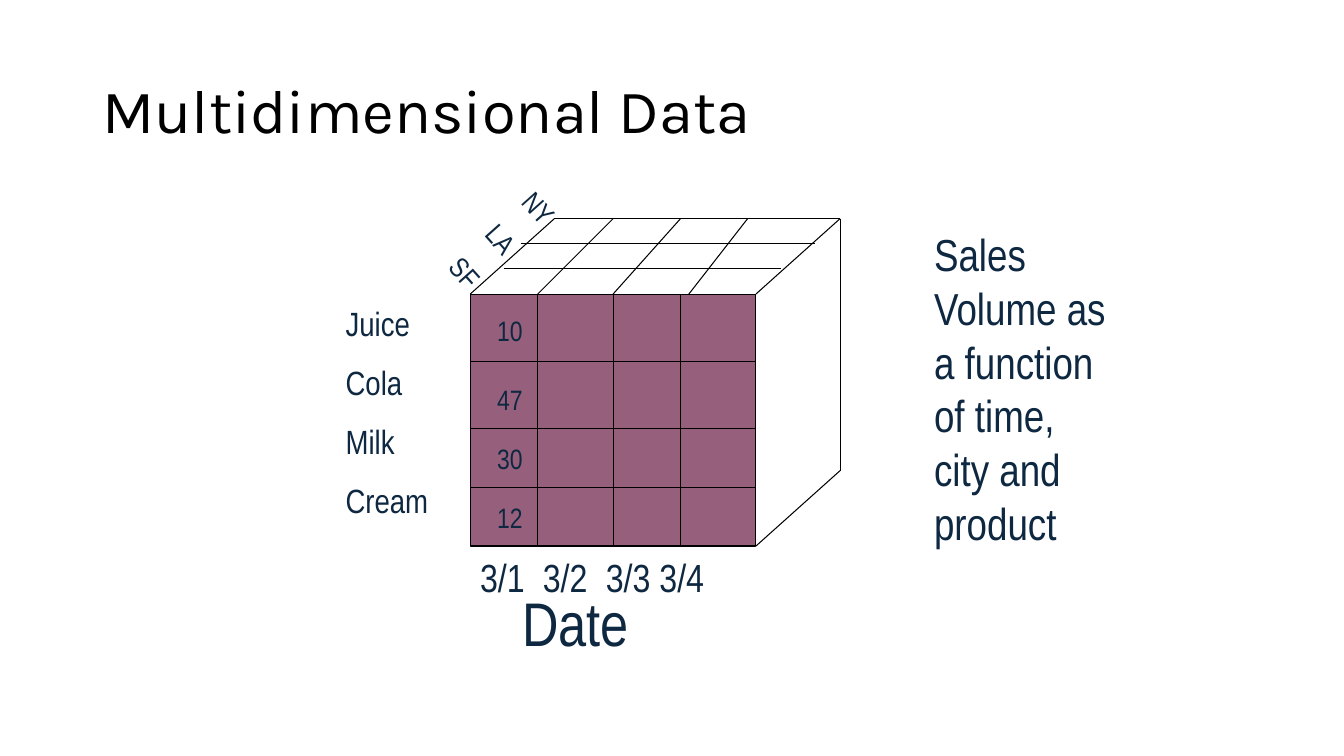
from dataclasses import dataclass

from pptx import Presentation
from pptx.dml.color import RGBColor
from pptx.enum.shapes import MSO_CONNECTOR as CONN, MSO_SHAPE as SHAPE
from pptx.enum.text import MSO_ANCHOR as ANCHOR, MSO_AUTO_SIZE as AUTO
from pptx.oxml.ns import qn
from pptx.slide import Slide
from pptx.util import Cm, Pt
from lxml.etree import SubElement

COLORS = {"black": "000000", "navy": "0E2841", "plum": "96607D"}
LINE_WIDTH = Pt(0.75)


@dataclass
class Label:
    lines: list[str]
    x: float
    y: float
    w: float
    h: float
    size: float
    rotation: float = 0
    font: str = "Arial Narrow"
    color: str = "navy"


@dataclass
class Edge:
    x1: float
    y1: float
    x2: float
    y2: float


def rgb(name: str) -> RGBColor:
    return RGBColor.from_string(COLORS[name])


def add_label(s: Slide, label: Label, is_title: bool = False) -> None:
    sp = s.shapes.add_textbox(Cm(label.x), Cm(label.y), Cm(label.w), Cm(label.h))
    sp.rotation = label.rotation
    tf = sp.text_frame
    tf.word_wrap = True
    tf.vertical_anchor = ANCHOR.MIDDLE if is_title else ANCHOR.BOTTOM
    tf.auto_size = AUTO.NONE if is_title else AUTO.SHAPE_TO_FIT_TEXT
    for i, line in enumerate(label.lines):
        p = tf.add_paragraph() if i else tf.paragraphs[0]
        if is_title:
            p.line_spacing = 0.9
        else:
            p.space_before = Pt(label.size * 0.55)
        r = p.add_run()
        r.text = line
        r.font.name = label.font
        r.font.size = Pt(label.size)
        r.font.color.rgb = rgb(label.color)


def add_edge(s: Slide, edge: Edge) -> None:
    sp = s.shapes.add_connector(
        CONN.STRAIGHT, Cm(edge.x1), Cm(edge.y1), Cm(edge.x2), Cm(edge.y2))
    sp.line.color.rgb = rgb("black")
    sp.line.width = LINE_WIDTH
    SubElement(sp._element.spPr, qn("a:effectLst"))


# Cube geometry in centimetres
LEFT, RIGHT, TOP, BOTTOM = 11.85, 19.05, 7.41, 13.76
DX, DY = 2.12, 1.9
BACK_RIGHT, BACK_TOP = RIGHT + DX, TOP - DY
COLUMNS = [13.55, 15.45, 17.15]
ROWS = [9.1, 10.8, 12.28]

front_grid = [Edge(x, TOP, x, BOTTOM) for x in COLUMNS]
front_grid += [Edge(LEFT, y, RIGHT, y) for y in ROWS]
depth_edges = [Edge(x, y, x + DX, y - DY)
               for x, y in [(LEFT, TOP), (RIGHT, TOP), (RIGHT, BOTTOM)]]
back_edges = [
    Edge(LEFT + DX, BACK_TOP, BACK_RIGHT, BACK_TOP),
    Edge(BACK_RIGHT, BACK_TOP, BACK_RIGHT, BOTTOM - DY),
]
top_grid = [Edge(x1, TOP, x2, BACK_TOP)
            for x1, x2 in [(13.55, 15.45), (15.45, 17.15), (17.36, 18.84)]]
top_grid += [Edge(12.7, 6.77, 19.69, 6.77), Edge(13.12, 6.14, 20.53, 6.14)]

# Labels
title = Label(["Multidimensional Data"], 2.33, 1.01, 29.21, 3.68, 44,
              font="Karla", color="black")
values = [Label([value], 12.28, y, 1.7, 1.09, 20)
          for value, y in [("10", 7.79), ("47", 9.53), ("30", 11.01), ("12", 12.49)]]
dates = [Label([date], x, 13.8, 1.9, 1.46, 28)
         for date, x in [("3/1", 11.85), ("3/2", 13.43), ("3/3", 15.02), ("3/4", 16.37)]]
axes = [
    Label(["Juice", "Cola", "Milk", "Cream"], 8.46, 7.34, 2.97, 5.89, 24),
    Label(["NY", "LA", "SF"], 11.6, 5.2, 3.95, 3.64, 20, rotation=48.2),
    Label(["Date"], 12.91, 14.6, 4.87, 2.12, 44),
]
description = Label(["Sales Volume as a function of time, city and product"],
                    23.29, 4.13, 4.87, 9.84, 32)


def main() -> None:
    prs = Presentation()
    prs.slide_width, prs.slide_height = Cm(33.87), Cm(19.05)
    s = prs.slides.add_slide(prs.slide_layouts[6])

    add_label(s, title, is_title=True)

    # Front face
    sp = s.shapes.add_shape(
        SHAPE.RECTANGLE, Cm(LEFT), Cm(TOP), Cm(RIGHT - LEFT), Cm(BOTTOM - TOP))
    sp.shadow.inherit = False
    sp.fill.solid()
    sp.fill.fore_color.rgb = rgb("plum")
    sp.line.color.rgb = rgb("black")
    sp.line.width = LINE_WIDTH

    # Grid lines and outer edges
    for edge in front_grid + depth_edges + back_edges + top_grid:
        add_edge(s, edge)

    # Cell values, axis labels and description
    for label in values + axes + dates + [description]:
        add_label(s, label)

    prs.save("out.pptx")


if __name__ == "__main__":
    main()
